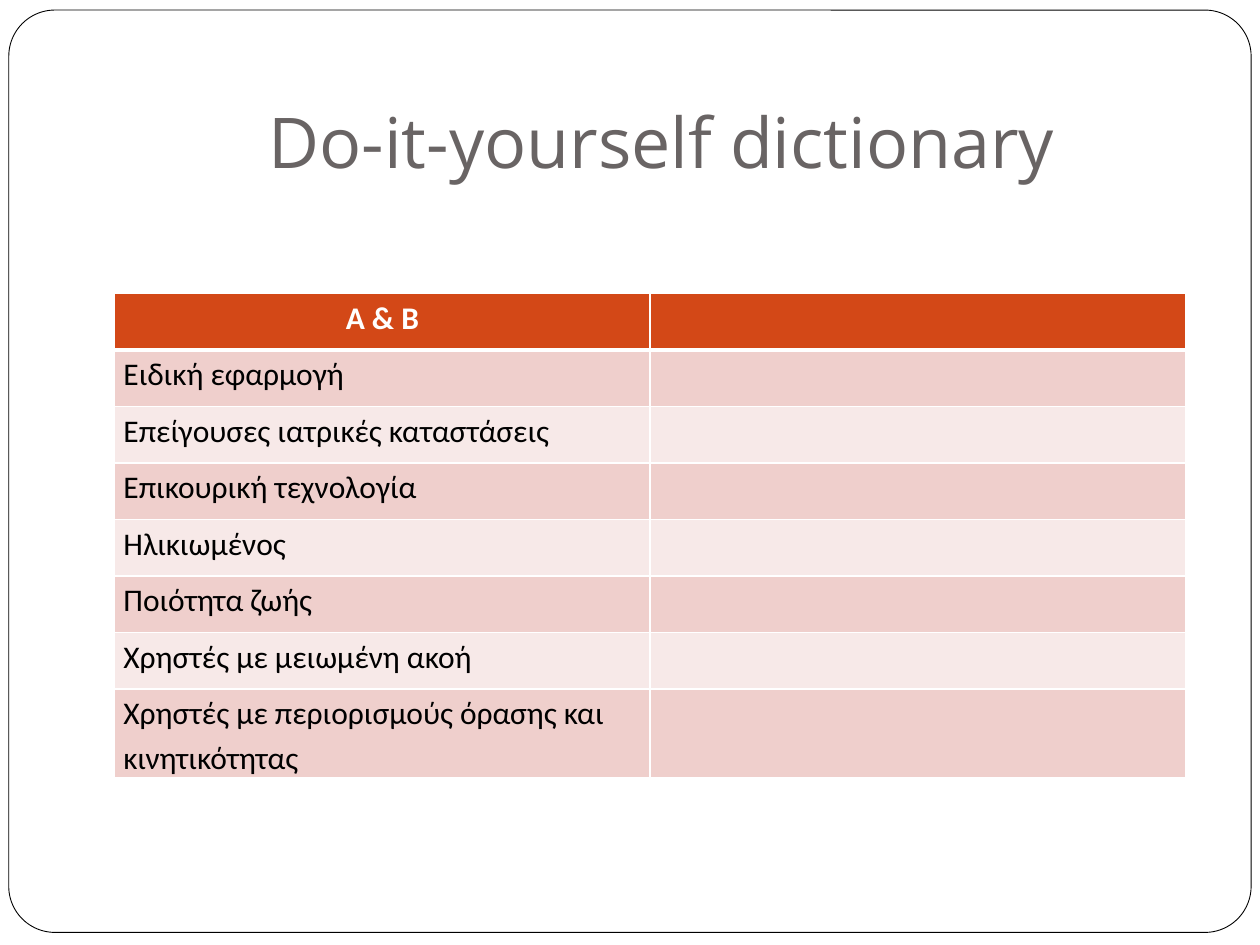
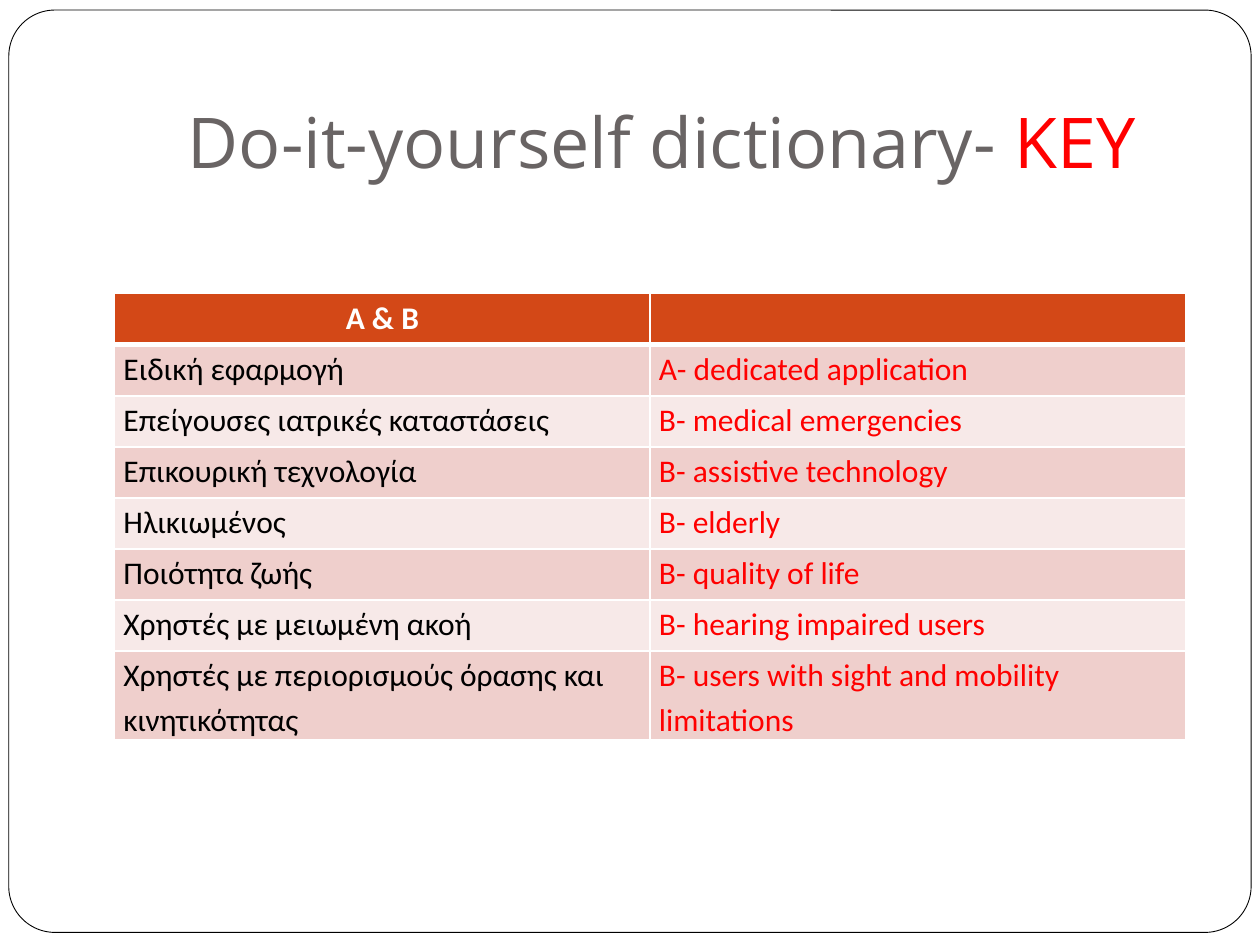
import pptx
import pptx.util
import pptx.dml.color
import pptx.enum.shapes
import pptx.enum.text
import pptx.oxml
import pptx.oxml.ns
import lxml.etree

Inches = pptx.util.Inches
Pt = pptx.util.Pt
RGB = pptx.dml.color.RGBColor
Align = pptx.enum.text.PP_ALIGN

WHITE = RGB(0xFF, 0xFF, 0xFF)
BLACK = RGB(0, 0, 0)
RED = RGB(0xFF, 0, 0)
GREY = RGB(0x69, 0x64, 0x64)
ORANGE = RGB(0xD3, 0x48, 0x17)
BANDS = [RGB(0xEF, 0xCF, 0xCC), RGB(0xF7, 0xE9, 0xE8)]

FRAME = (0.07, 0.08, 9.86, 7.32)
TITLE = (1, 0.3, 8.5, 1.25)
TABLE = (0.91, 2.33, 8.5, 3.51)
LAST = 0.69

TERMS = [
    "Ειδική εφαρμογή",
    "Επείγουσες ιατρικές καταστάσεις",
    "Επικουρική τεχνολογία",
    "Ηλικιωμένος",
    "Ποιότητα ζωής",
    "Χρηστές με μειωμένη ακοή",
    "Χρηστές με περιορισμούς όρασης και κινητικότητας",
]
ANSWERS = [
    "A- dedicated application",
    "B- medical emergencies",
    "B- assistive technology",
    "B- elderly",
    "B- quality of life",
    "B- hearing impaired users",
    "B- users with sight and mobility limitations",
]


def write(para, text, font="Calibri", size=18, color=BLACK, bold=False,
          align=Align.LEFT, spacing=None):
    para.alignment = align
    if spacing:
        para.line_spacing = spacing
    run = para.add_run()
    run.text = text
    run.font.name = font
    run.font.size = Pt(size)
    run.font.bold = bold
    run.font.color.rgb = color


def inset(target, left, top, right, bottom):
    target.margin_left = Inches(left)
    target.margin_top = Inches(top)
    target.margin_right = Inches(right)
    target.margin_bottom = Inches(bottom)


def add_frame(slide, box):
    frame = slide.shapes.add_shape(
        pptx.enum.shapes.MSO_SHAPE.ROUNDED_RECTANGLE, *map(Inches, box))
    frame.adjustments[0] = 0.05
    frame.shadow.inherit = False
    frame.fill.solid()
    frame.fill.fore_color.rgb = WHITE
    frame.line.color.rgb = BLACK
    frame.line.width = Pt(0.5)
    slide.shapes._spTree.insert(2, frame._element)


def add_title(slide, box, parts):
    title = slide.shapes.title
    title.left, title.top, title.width, title.height = map(Inches, box)
    frame = title.text_frame
    inset(frame, 0.1, 0.05, 0.1, 0.1)
    frame.word_wrap = True
    frame.auto_size = pptx.enum.text.MSO_AUTO_SIZE.NONE
    frame.vertical_anchor = pptx.enum.text.MSO_ANCHOR.BOTTOM
    for text, color in parts:
        write(frame.paragraphs[0], text, font="Open Sans", size=40,
              color=color, align=Align.CENTER)


def add_edges(cell, top, bottom):
    props = cell._tc.get_or_add_tcPr()
    widths = {"lnL": 1, "lnR": 1, "lnT": top, "lnB": bottom}
    for place, (name, width) in enumerate(widths.items()):
        edge = pptx.oxml.parse_xml(
            f'<a:{name} {pptx.oxml.ns.nsdecls("a")} w="{Pt(width)}">'
            f'<a:solidFill><a:srgbClr val="{WHITE}"/></a:solidFill></a:{name}>')
        props.insert(place, edge)


def fill_cell(cell, row, text, color):
    head = row == 0
    inset(cell, 0.07, 0, 0.07, 0)
    cell.fill.solid()
    cell.fill.fore_color.rgb = ORANGE if head else BANDS[(row - 1) % 2]
    add_edges(cell, 3 if row == 1 else 1, 3 if head else 1)
    if text:
        write(cell.text_frame.paragraphs[0], text, bold=head, spacing=1.15,
              color=WHITE if head else color,
              align=Align.CENTER if head else Align.LEFT)


def add_terms(slide, box, answers, tall):
    rows = [("A & B", ""), *zip(TERMS, answers)]
    table = slide.shapes.add_table(len(rows), 2, *map(Inches, box)).table
    for col in table.columns:
        col.width = Inches(box[2] / 2)
    for row, texts in enumerate(rows):
        final = row == len(rows) - 1
        table.rows[row].height = Inches(LAST if final else tall / len(TERMS))
        for col, (text, color) in enumerate(zip(texts, (BLACK, RED))):
            fill_cell(table.cell(row, col), row, text, color)


def add_page(deck, parts, answers, tall):
    slide = deck.slides.add_slide(deck.slide_layouts[5])
    add_frame(slide, FRAME)
    add_title(slide, TITLE, parts)
    add_terms(slide, TABLE, answers, tall)


def main():
    deck = pptx.Presentation()
    deck.slide_width = Inches(10)
    deck.slide_height = Inches(7.5)
    name = "Do-it-yourself dictionary"
    add_page(deck, [(name, GREY)], [""] * len(TERMS), 3.14)
    add_page(deck, [(name + "- ", GREY), ("KEY", RED)], ANSWERS, 2.84)
    deck.save("out.pptx")


if __name__ == "__main__":
    main()
